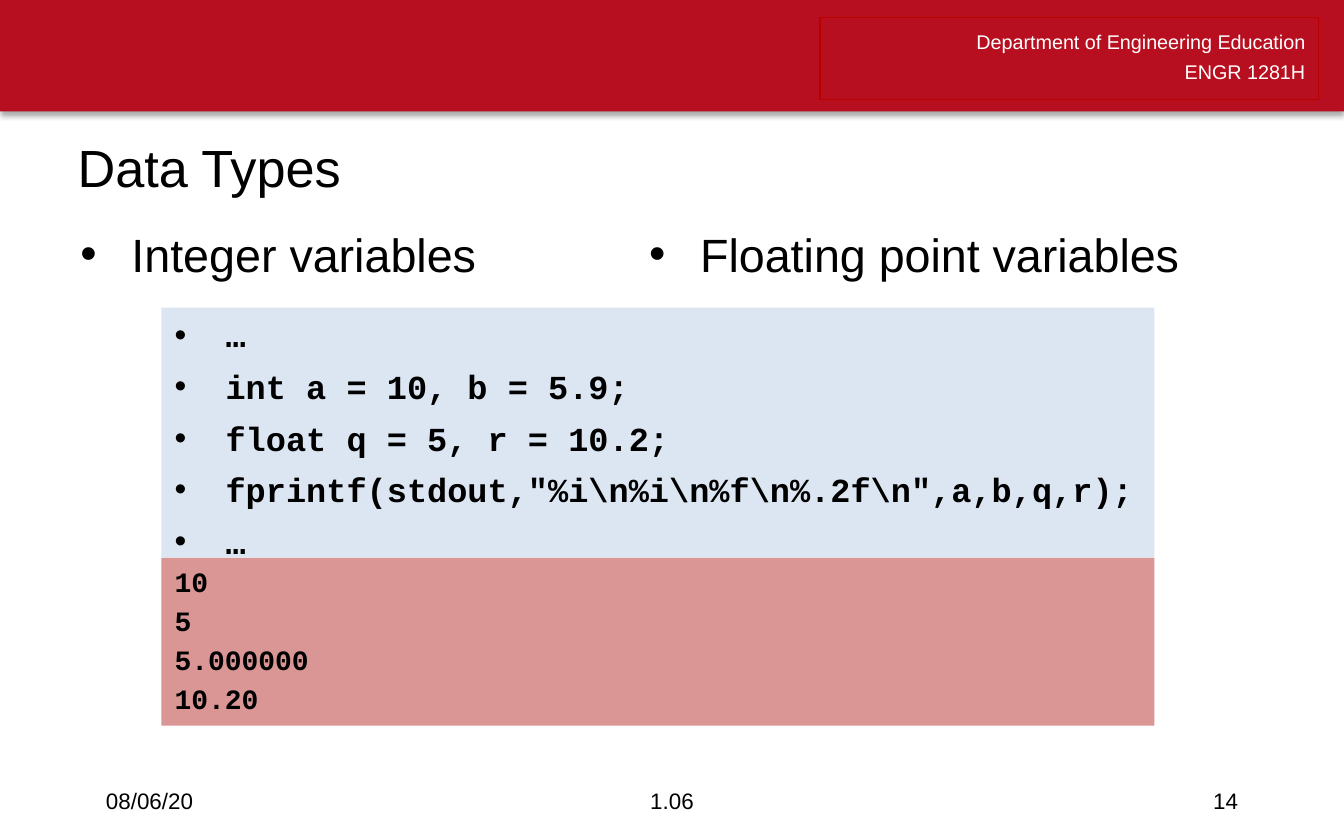
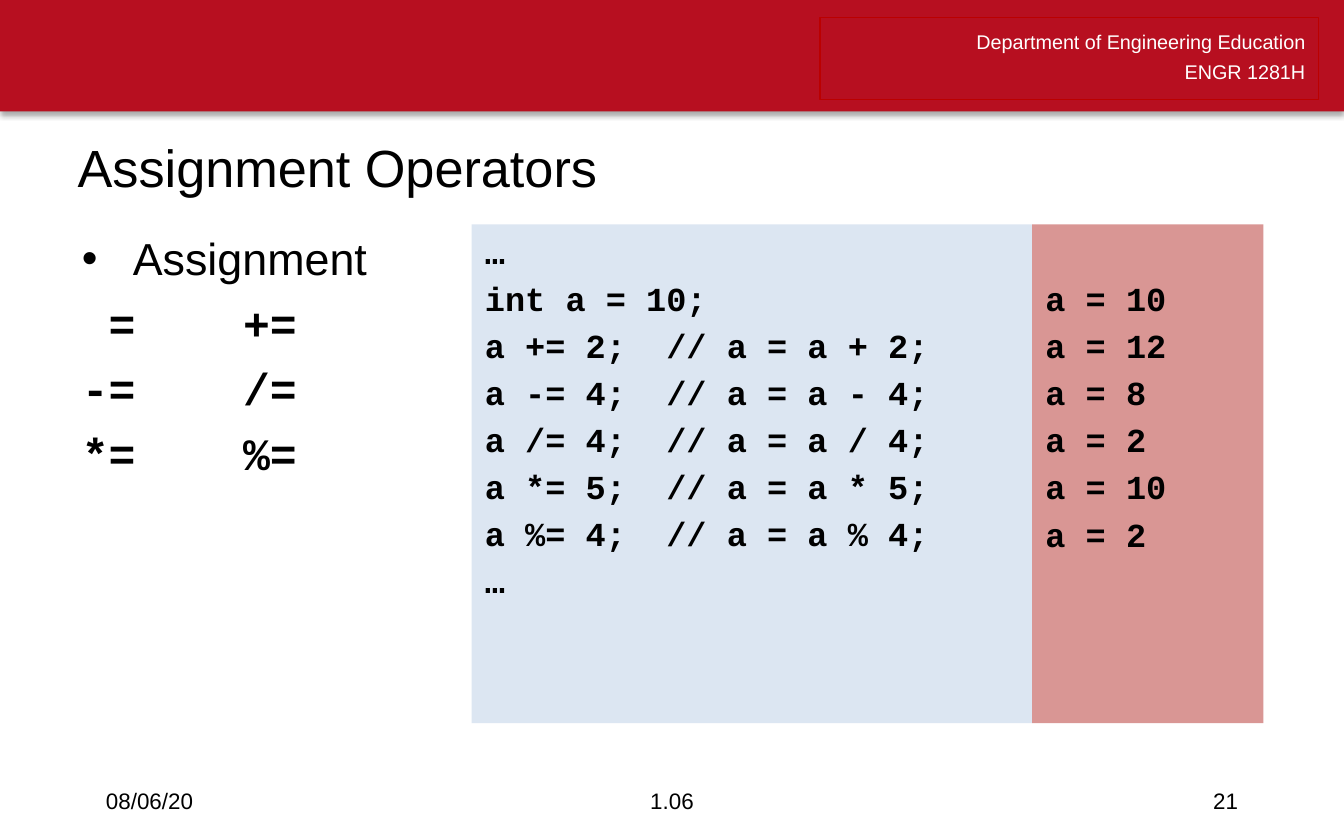
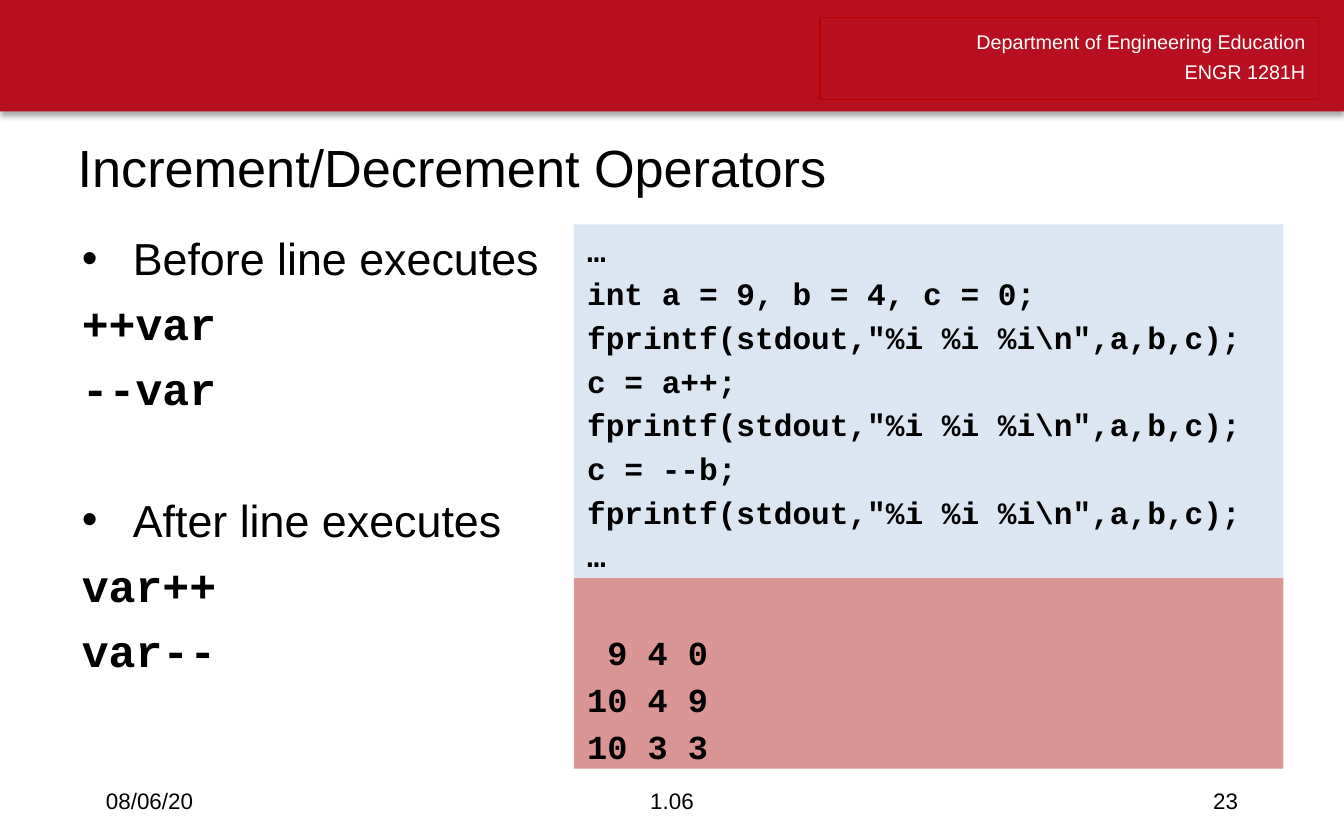
from dataclasses import dataclass, field
from typing import NamedTuple

from lxml import etree
from pptx import Presentation
from pptx.dml.color import RGBColor
from pptx.enum.shapes import MSO_SHAPE as Preset
from pptx.enum.text import MSO_ANCHOR as Anchor, PP_ALIGN as Align
from pptx.oxml.ns import qn
from pptx.util import Inches, Pt


@dataclass(frozen=True)
class Theme:
    sans: str = "Arial"
    mono: str = "Courier New"
    band: str = "B70F20"
    frame: str = "BB0000"
    code_fill: str = "DCE6F2"
    output_fill: str = "D99694"
    dark: str = "000000"
    light: str = "FFFFFF"
    header_size: float = 10.6
    footer_size: float = 12
    title_size: float = 28
    topic_size: float = 25
    body_size: float = 24
    code_size: float = 18
    small_code_size: float = 16.7
    output_size: float = 15
    inset: float = 3.6
    bullet_indent: float = 0.38
    code_gap: float = 0.2  # share of the type size
    mono_line: float = 1.2  # line height as a share of the type size


THEME = Theme()


class Box(NamedTuple):
    left: float
    top: float
    width: float
    height: float


class Line(NamedTuple):
    text: str
    bullet: bool = False
    gap: float = 6


@dataclass
class Panel:
    """A filled box of code or program output."""
    box: Box
    fill: str
    lines: list[str]
    size: float = THEME.code_size
    skipped_lines: int = 0
    bullet: bool = False
    gap: float | None = None


@dataclass
class Lesson:
    title: str
    number: int
    panels: list[Panel]
    topics: list[str] = field(default_factory=list)
    body: list[Line] = field(default_factory=list)


HEADER = Box(6.1, 0.13, 3.71, 0.61)
TITLE = Box(0.48, 0.96, 9.07, 0.71)
TOPICS = Box(0.5, 1.63, 8.66, 0.66)
BODY = Box(0.51, 1.67, 4.42, 4.12)
FOOTERS = [
    (Box(0.69, 5.79, 2.25, 0.33), Align.LEFT),
    (Box(3.31, 5.79, 3.38, 0.33), Align.CENTER),
    (Box(7.06, 5.79, 2.25, 0.33), Align.RIGHT),
]


def inches(box: Box) -> list[int]:
    return [Inches(value) for value in box]


def add_rectangle(slide, box: Box, fill: str | None = None, line: str | None = None):
    shape = slide.shapes.add_shape(Preset.RECTANGLE, *inches(box))
    shape.shadow.inherit = False
    if fill:
        shape.fill.solid()
        shape.fill.fore_color.rgb = RGBColor.from_string(fill)
    else:
        shape.fill.background()
    if line:
        shape.line.color.rgb = RGBColor.from_string(line)
        shape.line.width = Pt(0.75)
    else:
        shape.line.fill.background()
    return shape


def add_text_box(slide, box: Box):
    return slide.shapes.add_textbox(*inches(box))


def add_soft_shadow(shape) -> None:
    effects = shape._element.spPr.find(qn("a:effectLst"))
    shadow = etree.SubElement(effects, qn("a:outerShdw"), blurRad=str(Pt(3.1)),
                              dist=str(Pt(1.8)), dir="5400000", rotWithShape="0")
    color = etree.SubElement(shadow, qn("a:srgbClr"), val=THEME.dark)
    etree.SubElement(color, qn("a:alpha"), val="35000")


def add_bullet(paragraph) -> None:
    properties = paragraph._p.get_or_add_pPr()
    indent = Inches(THEME.bullet_indent)
    properties.set("marL", str(indent))
    properties.set("indent", str(-indent))
    etree.SubElement(properties, qn("a:buFont"), typeface=THEME.sans)
    etree.SubElement(properties, qn("a:buChar"), char="•")


def add_tab_stop(paragraph, position: float) -> None:
    properties = paragraph._p.get_or_add_pPr()
    stops = etree.SubElement(properties, qn("a:tabLst"))
    etree.SubElement(stops, qn("a:tab"), pos=str(Inches(position)), algn="l")


def write(frame, text: str, *, size: float, font: str = THEME.sans, color: str = THEME.dark,
          bold: bool = False, align: Align = Align.LEFT, bullet: bool = False,
          gap: float = 0, line_spacing: float | None = None) -> None:
    """Write one paragraph, using the frame's empty first one if it is free."""
    paragraph = frame.paragraphs[0]
    if paragraph.runs:
        paragraph = frame.add_paragraph()
        paragraph.space_before = Pt(gap)
    paragraph.alignment = align
    if line_spacing:
        paragraph.line_spacing = Pt(line_spacing)
    if bullet:
        add_bullet(paragraph)
    if "\t" in text:
        add_tab_stop(paragraph, 1.2)
    run = paragraph.add_run()
    run.text = text
    run.font.name = font
    run.font.size = Pt(size)
    run.font.bold = bold
    run.font.color.rgb = RGBColor.from_string(color)


def open_frame(shape, top_inset: float = THEME.inset, anchor: Anchor = Anchor.TOP):
    frame = shape.text_frame
    frame.word_wrap = True
    frame.vertical_anchor = anchor
    frame.margin_top = Pt(top_inset)
    return frame


def add_page_furniture(slide, number: int) -> None:
    add_soft_shadow(add_rectangle(slide, Box(0, 0, 10, 0.83), fill=THEME.band))
    header = open_frame(add_rectangle(slide, HEADER, line=THEME.frame))
    for text in ("Department of Engineering Education", "ENGR 1281H"):
        write(header, text, size=THEME.header_size, color=THEME.light,
              align=Align.RIGHT, line_spacing=16)
    for (box, align), text in zip(FOOTERS, ("08/06/20", "1.06", str(number))):
        frame = open_frame(add_text_box(slide, box), anchor=Anchor.MIDDLE)
        write(frame, text, size=THEME.footer_size, align=align)


def add_topics(slide, topics: list[str]) -> None:
    """Set the topics side by side, one to a text column."""
    frame = open_frame(add_text_box(slide, TOPICS))
    frame._txBody.bodyPr.set("numCol", str(len(topics)))
    for topic in topics:
        write(frame, topic, size=THEME.topic_size, bullet=True, gap=18)


def add_body(slide, lines: list[Line]) -> None:
    frame = open_frame(add_text_box(slide, BODY))
    for line in lines:
        write(frame, line.text, size=THEME.body_size, bullet=line.bullet, gap=line.gap,
              font=THEME.sans if line.bullet else THEME.mono, bold=not line.bullet)


def add_panel(slide, panel: Panel) -> None:
    gap = panel.gap or panel.size * THEME.code_gap
    pitch = panel.size * THEME.mono_line + gap
    top_inset = THEME.inset + panel.skipped_lines * pitch
    frame = open_frame(add_rectangle(slide, panel.box, fill=panel.fill), top_inset)
    for text in panel.lines:
        write(frame, text, size=panel.size, font=THEME.mono, bold=True,
              bullet=panel.bullet, gap=gap)


def add_lesson(presentation, lesson: Lesson) -> None:
    slide = presentation.slides.add_slide(presentation.slide_layouts[6])
    add_page_furniture(slide, lesson.number)
    if lesson.topics:
        add_topics(slide, lesson.topics)
    if lesson.body:
        add_body(slide, lesson.body)
    title = open_frame(add_text_box(slide, TITLE))
    write(title, lesson.title, size=THEME.title_size)
    for panel in lesson.panels:
        add_panel(slide, panel)


PRINT_ABC = r'fprintf(stdout,"%i %i %i\n",a,b,c);'

LESSONS = [
    Lesson(
        "Data Types", 14,
        topics=["Integer variables", "Floating point variables"],
        panels=[
            Panel(Box(1.2, 2.29, 7.39, 1.86), THEME.code_fill,
                  ["…", "int a = 10, b = 5.9;", "float q = 5, r = 10.2;",
                   r'fprintf(stdout,"%i\n%i\n%f\n%.2f\n",a,b,q,r);', "…"],
                  bullet=True, gap=6),
            Panel(Box(1.2, 4.15, 7.39, 1.25), THEME.output_fill,
                  ["10", "5", "5.000000", "10.20"], size=THEME.output_size),
        ],
    ),
    Lesson(
        "Assignment Operators", 21,
        body=[Line("Assignment", bullet=True), Line(" =\t+="), Line("-=\t/="), Line("*=\t%=")],
        panels=[
            Panel(Box(3.51, 1.67, 4.17, 3.71), THEME.code_fill,
                  ["…", "int a = 10;", "a += 2;  // a = a + 2;", "a -= 4;  // a = a - 4;",
                   "a /= 4;  // a = a / 4;", "a *= 5;  // a = a * 5;",
                   "a %= 4;  // a = a % 4;", "…"]),
            Panel(Box(7.68, 1.67, 1.72, 3.71), THEME.output_fill,
                  [f"a = {value}" for value in (10, 12, 8, 2, 10, 2)], skipped_lines=1),
        ],
    ),
    Lesson(
        "Increment/Decrement Operators", 23,
        body=[Line("Before line executes", bullet=True), Line("++var"), Line("--var"),
              Line("After line executes", bullet=True, gap=41.5), Line("var++"), Line("var--")],
        panels=[
            Panel(Box(4.27, 4.3, 5.28, 1.42), THEME.output_fill,
                  [" 9 4 0", "10 4 9", "10 3 3"], skipped_lines=1),
            Panel(Box(4.27, 1.67, 5.28, 2.63), THEME.code_fill,
                  ["…", "int a = 9, b = 4, c = 0;", PRINT_ABC, "c = a++;", PRINT_ABC,
                   "c = --b;", PRINT_ABC, "…"], size=THEME.small_code_size),
        ],
    ),
]


def main() -> None:
    presentation = Presentation()
    presentation.slide_width = Inches(10)
    presentation.slide_height = Inches(6.25)
    for lesson in LESSONS:
        add_lesson(presentation, lesson)
    presentation.save("out.pptx")


if __name__ == "__main__":
    main()
